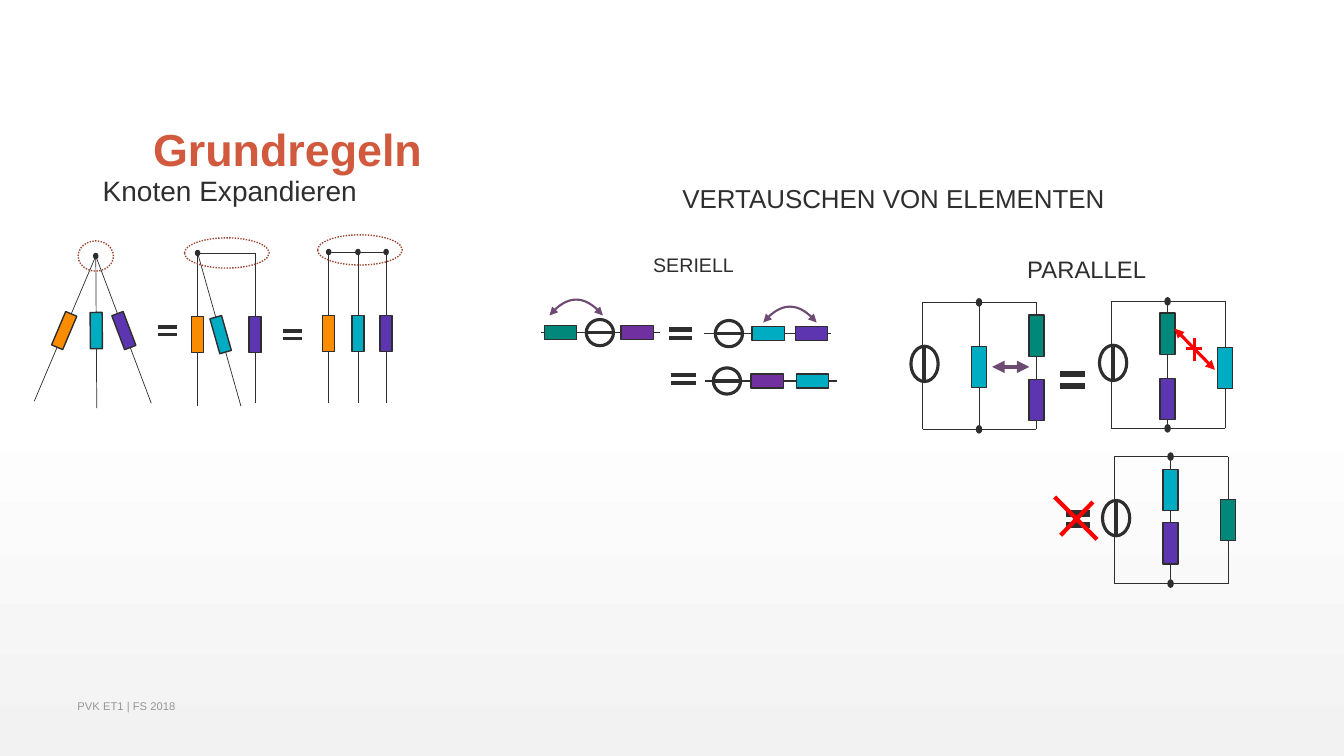
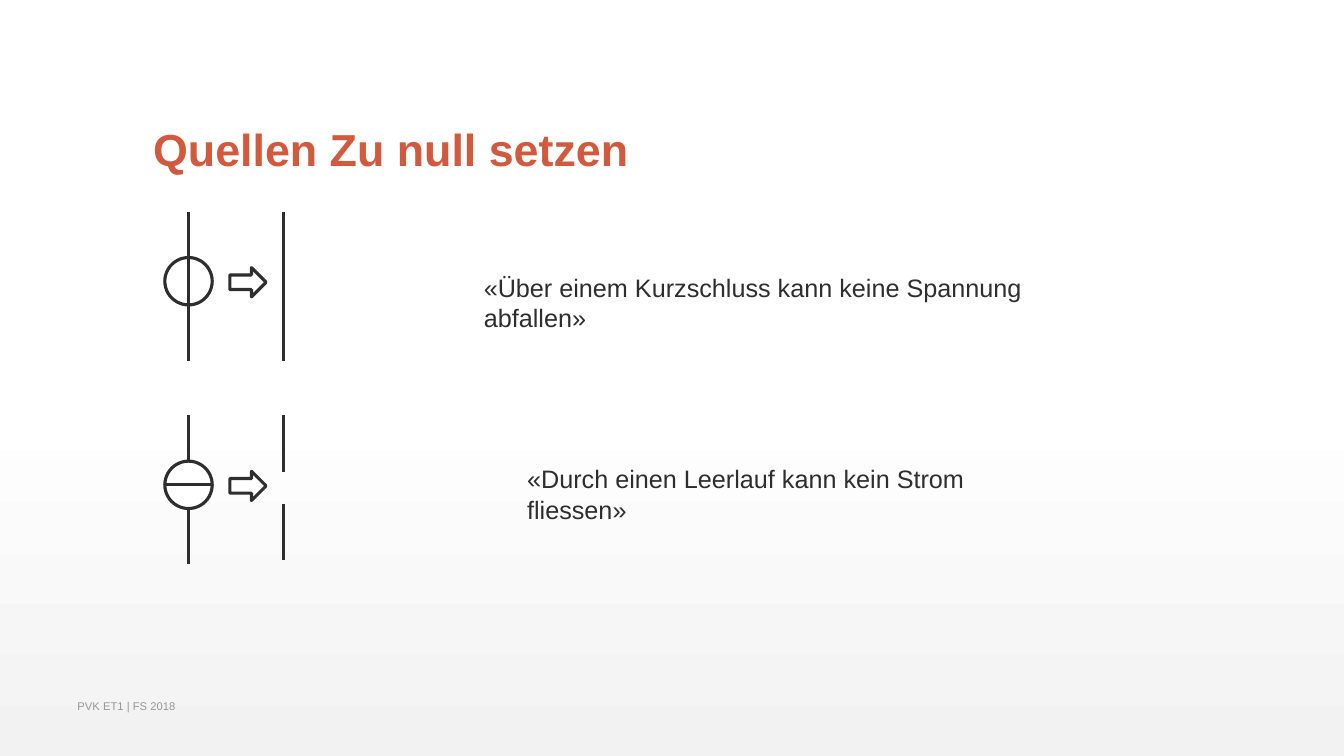
from math import atan2, degrees

from lxml import etree
from pptx import Presentation
from pptx.dml.color import RGBColor
from pptx.enum.dml import MSO_LINE
from pptx.enum.shapes import MSO_CONNECTOR, MSO_SHAPE
from pptx.enum.text import MSO_ANCHOR
from pptx.oxml.ns import qn
from pptx.util import Inches, Pt

RECTANGLE, ELLIPSE = MSO_SHAPE.RECTANGLE, MSO_SHAPE.OVAL
EQUAL, ARROW = MSO_SHAPE.MATH_EQUAL, MSO_SHAPE.RIGHT_ARROW
STRAIGHT, DOTTED = MSO_CONNECTOR.STRAIGHT, MSO_LINE.ROUND_DOT
TOP, MIDDLE, BOTTOM = MSO_ANCHOR.TOP, MSO_ANCHOR.MIDDLE, MSO_ANCHOR.BOTTOM

# Shared style
FONT = "Arial"
INK, WHITE, PALE, GREY = "2D2E2D", "FFFFFF", "F2F2F2", "959795"
TITLE, RUST, RED, PLUM = "D15A3E", "9B432E", "FF0000", "6D4A71"
ORANGE, CYAN, VIOLET = "FB8C00", "00ACC1", "5E35B1"
GREEN, PURPLE = "00897B", "7030A0"
THIN, SYMBOL, HEAVY = 0.5, 2.25, 3


def rgb(value):
    return RGBColor.from_string(value)


# Basic elements
def add_text(page, words, left, top, width, height, size, color=INK,
             bold=False, anchor=TOP, spacing=1.0):
    box = page.shapes.add_textbox(*map(Inches, (left, top, width, height)))
    frame = box.text_frame
    frame.word_wrap = True
    frame.vertical_anchor = anchor
    para = frame.paragraphs[0]
    para.text = words
    para.line_spacing = spacing
    para.font.name, para.font.size, para.font.bold = FONT, Pt(size), bold
    para.font.color.rgb = rgb(color)


def style_shape(shape, fill, line, weight):
    shape.shadow.inherit = False
    if fill:
        shape.fill.solid()
        shape.fill.fore_color.rgb = rgb(fill)
    else:
        shape.fill.background()
    shape.line.color.rgb = rgb(line)
    shape.line.width = Pt(weight)


def add_centered(page, kind, x, y, width, height, fill=None, line=INK, weight=1):
    """Place a preset shape by its centre."""
    shape = page.shapes.add_shape(kind, Inches(x - width / 2), Inches(y - height / 2),
                                  Inches(width), Inches(height))
    style_shape(shape, fill, line, weight)
    return shape


def add_arrowheads(shape):
    outline = shape._element.spPr.find(qn("a:ln"))
    for end in ("a:headEnd", "a:tailEnd"):
        etree.SubElement(outline, qn(end), type="triangle")


def add_line(page, start, end, weight=THIN, color=INK, arrows=False):
    line = page.shapes.add_connector(STRAIGHT, *map(Inches, (*start, *end)))
    line.line.color.rgb = rgb(color)
    line.line.width = Pt(weight)
    if arrows:
        add_arrowheads(line)
    etree.SubElement(line._element.spPr, qn("a:effectLst"))


# Circuit symbols
def add_equal(page, x, y, width, height):
    add_centered(page, EQUAL, x, y, width, height, INK, WHITE)


def add_source(page, x, y, width, height, upright, fill=None):
    add_centered(page, ELLIPSE, x, y, width, height, fill, weight=SYMBOL)
    dx, dy = (0, height / 2) if upright else (width / 2, 0)
    add_line(page, (x - dx, y - dy), (x + dx, y + dy), SYMBOL)


def add_branch(page, top, bottom, y, color):
    """Draw a wire with a resistor lying along it at height y."""
    add_line(page, bottom, top)
    run, rise = bottom[0] - top[0], bottom[1] - top[1]
    x = top[0] + run * (y - top[1]) / rise
    resistor = add_centered(page, RECTANGLE, x, y, 0.12, 0.36, color)
    resistor.rotation = degrees(atan2(-run, rise))


def add_node(page, nodes, bar, branches, y, ring):
    """Draw an expanded node: its bar, branches, dots and dotted ring."""
    for branch_top, branch_bottom, color in branches:
        add_branch(page, branch_top, branch_bottom, y, color)
    if bar:
        add_line(page, *bar)
    for x, node_y in nodes:
        add_centered(page, ELLIPSE, x, node_y, 0.04, 0.05, INK)
    outline = add_centered(page, ELLIPSE, *ring, line=RUST)
    outline.line.dash_style = DOTTED


def add_series(page, start, end, y, source_x, resistors):
    add_line(page, (start, y), (end, y), 1)
    for x, color in resistors:
        add_centered(page, RECTANGLE, x, y, 0.32, 0.14, color)
    add_source(page, source_x, y, 0.27, 0.26, upright=False)


def add_loop(page, left, top, middle_parts, right_parts):
    """Draw a source with two parallel branches of resistors."""
    middle, right, bottom = left + 0.56, left + 1.13, top + 1.26
    for x in (left, middle, right):
        add_line(page, (x, bottom), (x, top))
    for y in (top, bottom):
        add_line(page, (left, y), (right, y))
        add_centered(page, ELLIPSE, middle, y, 0.05, 0.07, INK)
    for x, parts in ((middle, middle_parts), (right, right_parts)):
        for drop, color in parts:
            add_centered(page, RECTANGLE, x, top + drop, 0.15, 0.41, color)
    add_source(page, left + 0.02, top + 0.61, 0.27, 0.35, upright=True)


def add_swap_arc(page, left, base):
    """Draw a double-headed arc from points on a cubic curve."""
    width, lift, steps = 0.53, 0.21, 16
    points = []
    for step in range(steps + 1):
        t = step / steps
        points.append((Inches(left + width * t),
                       Inches(base - 3 * lift * t * (1 - t))))
    builder = page.shapes.build_freeform(*points[0])
    builder.add_line_segments(points[1:], close=False)
    arc = builder.convert_to_shape()
    style_shape(arc, None, PLUM, 1.5)
    add_arrowheads(arc)


# Shared page
def set_background(master):
    fill = master.background.fill
    fill.gradient()
    fill.gradient_angle = 270
    for stop, position, color in zip(fill.gradient_stops, (0.53, 1), (WHITE, PALE)):
        stop.position = position
        stop.color.rgb = rgb(color)


def add_page(deck, title):
    page = deck.slides.add_slide(deck.slide_layouts[6])
    add_text(page, title, 1.42, 0.55, 10.5, 1.25, 32, TITLE, True, BOTTOM, 0.9)
    add_text(page, "PVK ET1 | FS 2018", 0.67, 6.88, 6.7, 0.24, 8, GREY, anchor=MIDDLE)
    return page


# Slide content
def draw_node_expansion(page):
    add_text(page, "Knoten Expandieren", 0.92, 1.71, 2.82, 0.46, 20, spacing=0.9)
    colors = (ORANGE, CYAN, VIOLET)

    hub = (0.95, 2.54)
    ends = ((0.34, 3.98), (0.96, 4.05), (1.5, 4))
    add_node(page, [hub], None, [(hub, end, color) for end, color in zip(ends, colors)],
             3.28, (0.95, 2.54, 0.35, 0.3))

    left, right = (1.96, 2.51), (2.53, 2.51)
    ends = ((1.96, 4.03), (2.39, 4.03), (2.53, 4))
    add_node(page, [left], (left, right), list(zip((left, left, right), ends, colors)),
             3.32, (2.25, 2.51, 0.84, 0.3))

    nodes = [(x, 2.5) for x in (3.26, 3.55, 3.83)]
    add_node(page, nodes, (nodes[0], nodes[-1]),
             [(node, (node[0], 4), color) for node, color in zip(nodes, colors)],
             3.31, (3.57, 2.48, 0.84, 0.3))

    add_equal(page, 1.66, 3.28, 0.27, 0.21)
    add_equal(page, 2.9, 3.32, 0.27, 0.21)


def draw_series_swap(page):
    add_text(page, "SERIELL", 6.38, 2.46, 1.06, 0.46, 14)
    add_series(page, 5.37, 6.55, 3.3, 5.95, [(5.56, GREEN), (6.32, PURPLE)])
    add_series(page, 6.98, 8.24, 3.31, 7.23, [(7.62, CYAN), (8.05, VIOLET)])
    add_series(page, 6.99, 8.3, 3.78, 7.21, [(7.61, PURPLE), (8.06, CYAN)])
    add_equal(page, 6.75, 3.31, 0.34, 0.23)
    add_equal(page, 6.78, 3.76, 0.36, 0.23)
    add_swap_arc(page, 5.45, 3.13)
    add_swap_arc(page, 7.57, 3.2)


def draw_parallel_swap(page):
    add_text(page, "PARALLEL", 10.09, 2.45, 1.5, 0.46, 17, spacing=1.1)
    add_equal(page, 10.64, 3.77, 0.35, 0.32)
    add_equal(page, 10.69, 5.15, 0.35, 0.32)
    add_loop(page, 9.15, 3, [(0.64, CYAN)], [(0.33, GREEN), (0.97, VIOLET)])
    add_loop(page, 11.02, 2.99, [(0.32, GREEN), (0.97, VIOLET)], [(0.66, CYAN)])
    add_loop(page, 11.05, 4.53, [(0.33, CYAN), (0.86, VIOLET)], [(0.63, GREEN)])

    # Allowed and forbidden swaps
    add_line(page, (9.84, 3.64), (10.21, 3.64), HEAVY, PLUM, arrows=True)
    add_line(page, (11.65, 3.26), (12.05, 3.67), SYMBOL, RED, arrows=True)
    add_line(page, (11.92, 3.46), (11.76, 3.46), SYMBOL, RED)
    add_line(page, (11.85, 3.35), (11.85, 3.58), SYMBOL, RED)
    add_line(page, (10.84, 4.98), (10.52, 5.31), HEAVY, RED)
    add_line(page, (10.46, 4.93), (10.88, 5.35), HEAVY, RED)


def draw_zeroed_source(page, top, upright, result_wires):
    """Draw a source and the wires that remain once it is set to zero."""
    x, center = 1.87, top + 0.69
    add_line(page, (x, top + 1.48), (x, top), SYMBOL)
    add_source(page, x, center, 0.47, 0.47, upright, None if upright else WHITE)
    add_centered(page, ARROW, 2.46, center + 0.01, 0.36, 0.29, WHITE, weight=SYMBOL)
    for start, end in result_wires:
        add_line(page, (2.81, top + start), (2.81, top + end), SYMBOL)


def main():
    deck = Presentation()
    deck.slide_width, deck.slide_height = Inches(13.33), Inches(7.5)
    set_background(deck.slide_master)

    rules = add_page(deck, "Grundregeln")
    draw_node_expansion(rules)
    add_text(rules, "VERTAUSCHEN VON ELEMENTEN", 6.67, 1.7, 4.69, 0.46, 18.5, spacing=1.2)
    draw_series_swap(rules)
    draw_parallel_swap(rules)

    sources = add_page(deck, "Quellen Zu null setzen")
    draw_zeroed_source(sources, 2.1, True, [(0, 1.48)])
    draw_zeroed_source(sources, 4.12, False, [(0, 0.56), (0.88, 1.44)])
    add_text(sources, "«Über einem Kurzschluss kann keine Spannung abfallen»",
             4.7, 2.65, 5.83, 0.4, 18)
    add_text(sources, "«Durch einen Leerlauf kann kein Strom fliessen»",
             5.13, 4.55, 4.97, 0.4, 18)

    deck.save("out.pptx")


if __name__ == "__main__":
    main()
